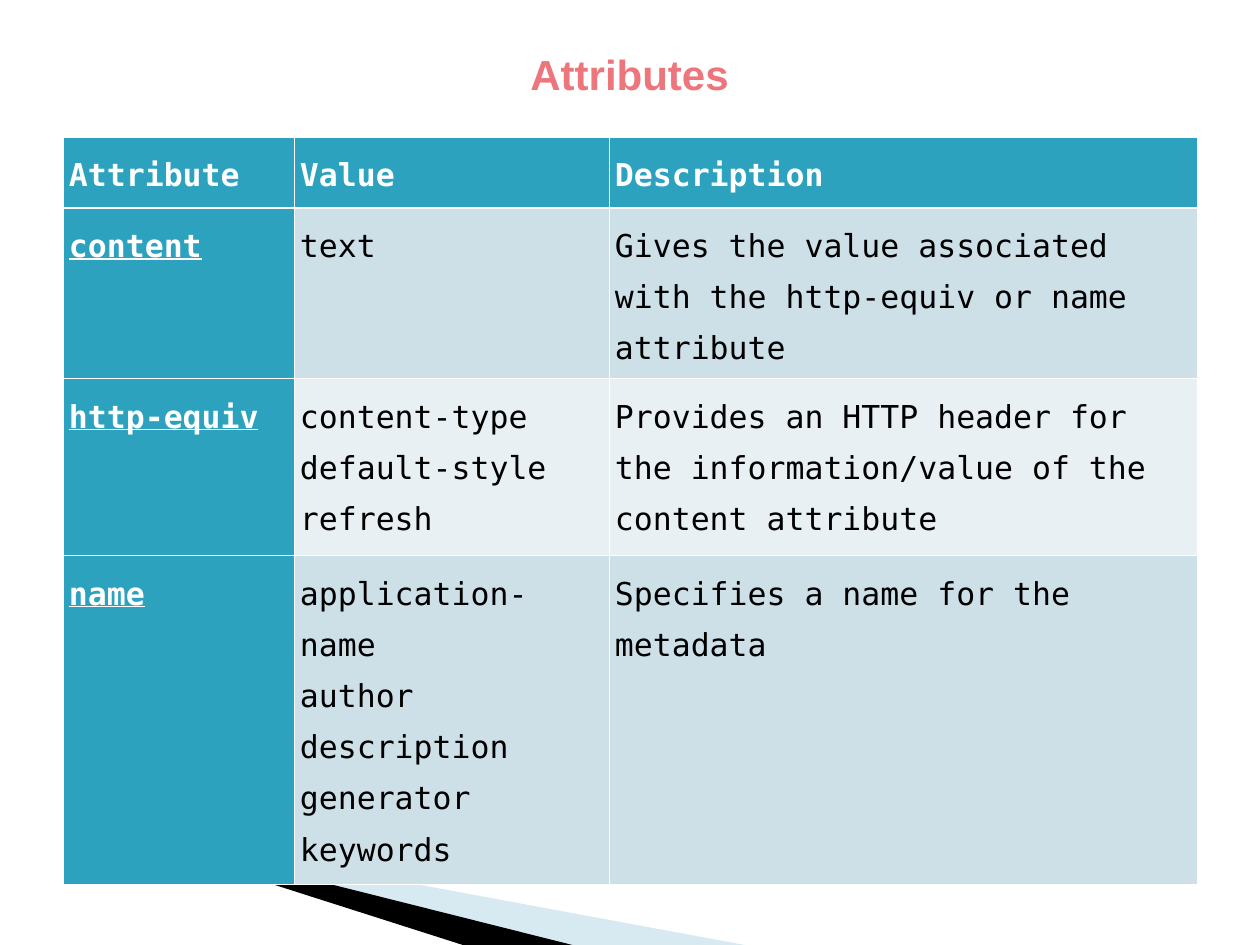
from lxml import etree
from pptx import Presentation
from pptx.dml.color import RGBColor
from pptx.enum import text
from pptx.oxml import ns
from pptx.util import Pt

PX = 914400 / 126
WHITE = RGBColor(0xFF, 0xFF, 0xFF)
BLACK = RGBColor(0, 0, 0)
CORAL = RGBColor(0xEC, 0x76, 0x7C)
TEAL = RGBColor(0x2D, 0xA2, 0xBF)
BAND = RGBColor(0xCD, 0xE0, 0xE8)
BAND_LIGHT = RGBColor(0xE8, 0xF0, 0xF4)
SWOOSH_BLUE = RGBColor(0x9F, 0xCB, 0xDC)

TITLE = "Attributes"
ROWS = [
    ("Attribute", "Value", "Description"),
    ("content", "text",
     "Gives the value associated with the http-equiv or name attribute"),
    ("http-equiv", "content-type\ndefault-style\nrefresh",
     "Provides an HTTP header for the information/value of the content attribute"),
    ("name", "application-name\nauthor\ndescription\ngenerator\nkeywords",
     "Specifies a name for the metadata"),
]
COLUMN_WIDTHS = [231, 315, 588]
ROW_HEIGHTS = [71, 125, 177, 284]
TABLE_LEFT, TABLE_TOP = 63, 137
TITLE_BOX = (73, 42, 1113, 63)
SWOOSHES = [
    ([(69, 820), (750, 946), (575, 946), (69, 819)], SWOOSH_BLUE, 40),
    ([(67, 818), (576, 946), (469, 947), (68, 819)], BLACK, 100),
]


def px(length):
    return round(length * PX)


def write(frame, content, *, font, size, color, bold=False, underline=False,
          align=text.PP_ALIGN.LEFT, line_spacing=1.0, after=0):
    paragraph = frame.paragraphs[0]
    paragraph.text = content
    paragraph.alignment = align
    paragraph.line_spacing = line_spacing
    paragraph.space_before, paragraph.space_after = Pt(0), Pt(after)
    for run in paragraph.runs:
        run.font.name, run.font.size = font, Pt(size)
        run.font.bold, run.font.underline = bold, underline
        run.font.color.rgb = color


def add_swoosh(slide, points, color, opacity):
    builder = slide.shapes.build_freeform(*points[0], scale=PX)
    builder.add_line_segments(points[1:], close=True)
    shape = builder.convert_to_shape()
    shape.shadow.inherit = False
    shape.line.fill.background()
    shape.fill.solid()
    shape.fill.fore_color.rgb = color
    if opacity < 100:
        fill_color = shape.fill._xPr.find(".//" + ns.qn("a:srgbClr"))
        etree.SubElement(fill_color, ns.qn("a:alpha"), val=str(opacity * 1000))


def set_borders(cell, widths):
    """Draw white borders; widths maps each side's letter to points."""
    properties = cell._tc.get_or_add_tcPr()
    for index, side in enumerate("LRTB"):
        line = etree.Element(ns.qn(f"a:ln{side}"), w=str(Pt(widths[side])))
        fill = etree.SubElement(line, ns.qn("a:solidFill"))
        etree.SubElement(fill, ns.qn("a:srgbClr"), val=str(WHITE))
        properties.insert(index, line)


def add_attribute_table(slide):
    table = slide.shapes.add_table(
        len(ROWS), len(COLUMN_WIDTHS), px(TABLE_LEFT), px(TABLE_TOP),
        px(sum(COLUMN_WIDTHS)), px(sum(ROW_HEIGHTS))).table
    for column, width in zip(table.columns, COLUMN_WIDTHS):
        column.width = px(width)
    for row, height in zip(table.rows, ROW_HEIGHTS):
        row.height = px(height)
    for i, values in enumerate(ROWS):
        for j, value in enumerate(values):
            cell = table.cell(i, j)
            heading = i == 0 or j == 0
            cell.margin_left = cell.margin_right = px(6)
            cell.margin_top = cell.margin_bottom = px(6)
            cell.fill.solid()
            cell.fill.fore_color.rgb = (
                TEAL if heading else BAND if i % 2 else BAND_LIGHT)
            set_borders(cell, {"L": 0.45, "R": 0.45,
                               "T": 1.47 if i == 1 else 0.45,
                               "B": 1.47 if i == 0 else 0.45})
            write(cell.text_frame, value, font="DejaVu Sans Mono", size=18,
                  color=WHITE if heading else BLACK, bold=heading,
                  underline=i > 0 and j == 0, line_spacing=1.4, after=10)


def main():
    presentation = Presentation()
    presentation.slide_width, presentation.slide_height = px(1260), px(945)
    slide = presentation.slides.add_slide(presentation.slide_layouts[5])
    for swoosh in SWOOSHES:
        add_swoosh(slide, *swoosh)
    add_attribute_table(slide)

    title = slide.shapes.title
    title.left, title.top, title.width, title.height = map(px, TITLE_BOX)
    frame = title.text_frame
    frame.word_wrap = True
    frame.auto_size = text.MSO_AUTO_SIZE.SHAPE_TO_FIT_TEXT
    frame.vertical_anchor = text.MSO_ANCHOR.TOP
    write(frame, TITLE, font="Arial", size=24, color=CORAL, bold=True,
          align=text.PP_ALIGN.CENTER)
    presentation.save("out.pptx")


if __name__ == "__main__":
    main()
